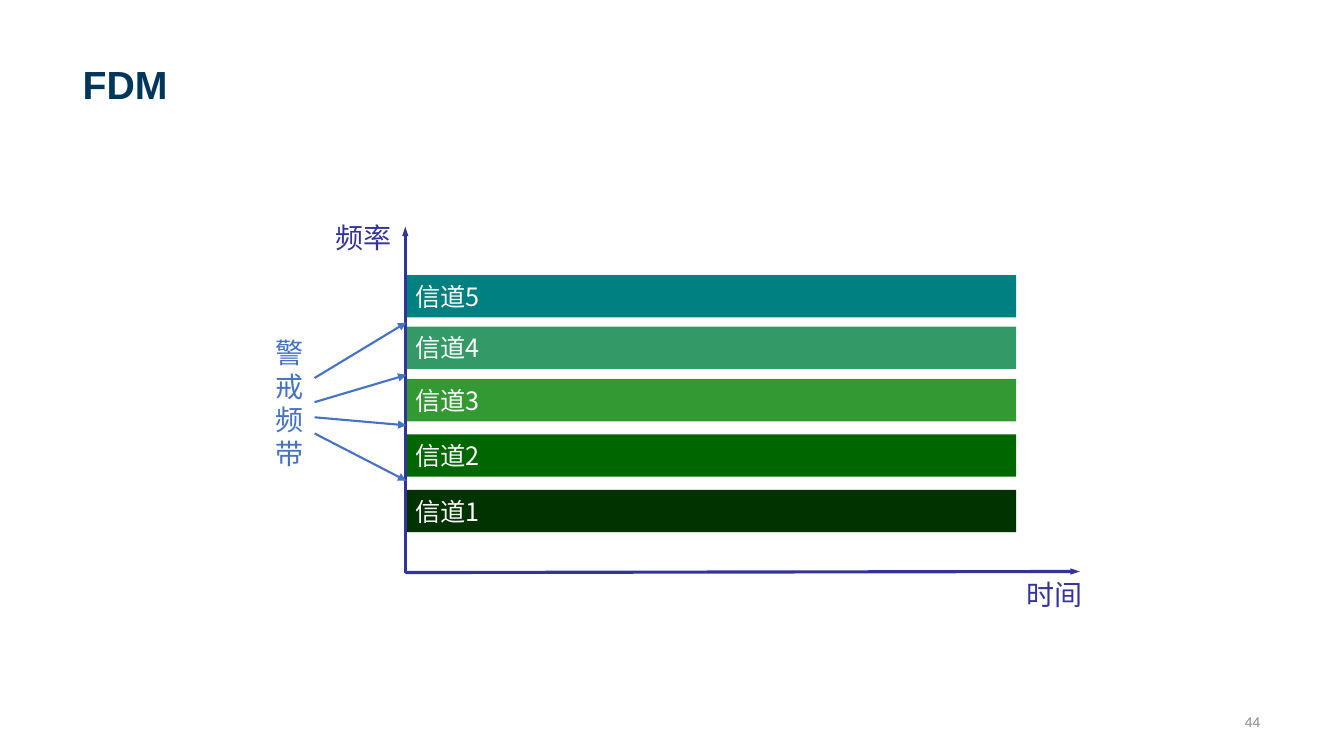
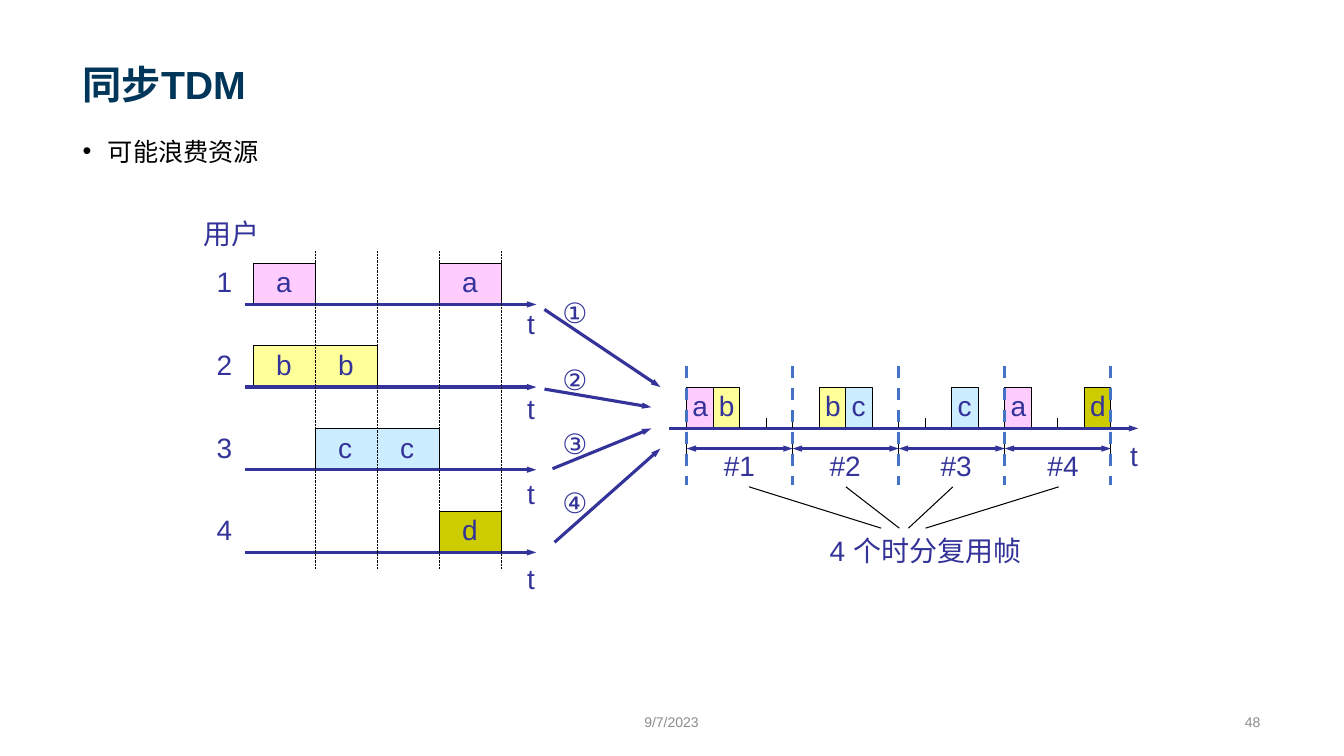
from lxml import etree
from pptx import Presentation
from pptx import util as u
from pptx.dml.color import RGBColor
from pptx.enum import dml, shapes, text
from pptx.oxml.ns import qn

COLORS = {
    "title": "003659", "footer": "8C8C8C", "navy": "333399", "blue": "4472C4",
    "black": "000000", "white": "FFFFFF",
    "a": "FFCCFF", "b": "FFFF99", "c": "CCECFF", "d": "CCCC00",
    "ch5": "008080", "ch4": "339966", "ch3": "339933", "ch2": "006600", "ch1": "003300",
}
CJK = "Noto Sans CJK SC"


def write(words, slide=None, at=None, shape=None, size=20, color="navy", font="Arial", bold=False,
          align=text.PP_ALIGN.LEFT, anchor=text.MSO_ANCHOR.TOP, wrap=False, spacing=1.0, bullet=False):
    if shape is None:
        shape = slide.shapes.add_textbox(*map(u.Inches, at))
        if anchor == text.MSO_ANCHOR.TOP:
            shape.text_frame.auto_size = text.MSO_AUTO_SIZE.SHAPE_TO_FIT_TEXT
    elif at:
        shape.left, shape.top, shape.width, shape.height = map(u.Inches, at)
    frame = shape.text_frame
    frame.word_wrap = wrap
    frame.vertical_anchor = anchor
    paragraph = frame.paragraphs[0]
    paragraph.alignment = align
    paragraph.line_spacing = spacing
    paragraph.space_before = u.Pt(0)
    if bullet:
        props = paragraph._p.get_or_add_pPr()
        props.set("marL", str(u.Inches(0.25)))
        props.set("indent", str(u.Inches(-0.25)))
        etree.SubElement(props, qn("a:buChar")).set("char", "•")
    run = paragraph.add_run()
    run.text = words
    run.font.size = u.Pt(size)
    run.font.bold = bold
    run.font.color.rgb = RGBColor.from_string(COLORS[color])
    run.font.name = font
    etree.SubElement(run._r.get_or_add_rPr(), qn("a:ea")).set("typeface", CJK)


def connect(slide, start, end, color="navy", width=2.25, dash=None, ends=(), head="sm"):
    line = slide.shapes.add_connector(
        shapes.MSO_CONNECTOR.STRAIGHT, *map(u.Inches, (*start, *end)))
    line.line.color.rgb = RGBColor.from_string(COLORS[color])
    line.line.width = u.Pt(width)
    if dash:
        line.line.dash_style = dash
    for tag in ends:
        arrow = etree.SubElement(line.line._get_or_add_ln(), qn("a:" + tag))
        arrow.set("type", "triangle")
        arrow.set("w", head)
    etree.SubElement(line._element.spPr, qn("a:effectLst"))


prs = Presentation()
prs.slide_width = u.Inches(13.33)
prs.slide_height = u.Inches(7.5)
fdm = prs.slides.add_slide(prs.slide_layouts[5])
tdm = prs.slides.add_slide(prs.slide_layouts[1])
ARROW = ("tailEnd",)
BOTH = ("headEnd", "tailEnd")
MIDDLE = text.MSO_ANCHOR.MIDDLE

for slide, heading, page in ((fdm, "FDM", "44"), (tdm, "同步TDM", "48")):
    write(heading, shape=slide.shapes.title, at=(0.72, 0.14, 11.88, 0.98), size=28,
          color="title", bold=True, anchor=text.MSO_ANCHOR.BOTTOM, wrap=True)
    write(page, slide, (8.5, 7.01, 4.1, 0.3), size=10, color="footer",
          align=text.PP_ALIGN.RIGHT, anchor=MIDDLE, wrap=True)

origin = (4.02, 5.68)
connect(fdm, origin, (10.71, 5.67), ends=ARROW)
for axis_name, left, top in (("频率", 3.23, 2.18), ("时间", 10.08, 5.72)):
    write(axis_name, fdm, (left, top, 0.76, 0.4), font="Times New Roman", spacing=0.9)
for number, top in zip((5, 4, 3, 2, 1), (2.73, 3.24, 3.76, 4.31, 4.86)):
    channel = fdm.shapes.add_shape(
        shapes.MSO_SHAPE.RECTANGLE, *map(u.Inches, (origin[0], top, 6.06, 0.42)))
    channel.shadow.inherit = False
    channel.fill.solid()
    channel.fill.fore_color.rgb = RGBColor.from_string(COLORS[f"ch{number}"])
    channel.line.fill.background()
    write(f"信道{number}", shape=channel, size=18, color="white", font=CJK, anchor=MIDDLE)
connect(fdm, origin, (4.02, 2.25), ends=ARROW)
for label_y, gap_y in ((3.75, 3.2), (3.99, 3.72), (4.14, 4.22), (4.3, 4.77)):
    connect(fdm, (3.12, label_y), (4.03, gap_y), "blue", 1.5, ends=ARROW, head="med")
write("警戒频带", fdm, (2.63, 3.28, 0.41, 1.43), color="blue", wrap=True)

write("可能浪费资源", shape=tdm.placeholders[1], at=(0.72, 1.24, 11.88, 5.47), size=18,
      color="black", wrap=True, spacing=1.2, bullet=True)
write("9/7/2023", tdm, (5.16, 7.01, 3, 0.3), size=10, color="footer",
      align=text.PP_ALIGN.CENTER, anchor=MIDDLE, wrap=True)

user_left, user_slot = 2.51, 0.615
user_axes = [3.02 + 0.82 * row for row in range(4)]
frame_left, frame_slot, frame_axis = 6.81, 0.263, 4.25
frame_edges = [frame_left + 4 * frame_slot * count for count in range(5)]

bursts = [(user, user_left + user_slot * slot, user_slot * span, user_axes[row], span, 0.13)
          for user, row, slot, span in (("a", 0, 0, 1), ("a", 0, 3, 1), ("b", 1, 0, 2),
                                        ("c", 2, 1, 2), ("d", 3, 3, 1))]
bursts += [(user, frame_left + frame_slot * slot, frame_slot, frame_axis, 1, -0.04)
           for user, slot in (("a", 0), ("b", 1), ("b", 5), ("c", 6),
                              ("c", 10), ("a", 12), ("d", 15))]
for user, left, width, axis, span, offset in bursts:
    top = axis - 0.41
    outline = tdm.shapes.build_freeform(u.Inches(left), u.Inches(axis))
    outline.add_line_segments(
        [(u.Inches(x), u.Inches(y)) for x, y in
         ((left, top), (left + width, top), (left + width, axis))], close=False)
    burst = outline.convert_to_shape()
    burst.shadow.inherit = False
    burst.fill.solid()
    burst.fill.fore_color.rgb = RGBColor.from_string(COLORS[user])
    burst.line.color.rgb = RGBColor.from_string(COLORS["black"])
    burst.line.width = u.Pt(0.75)
    for part in range(span):
        write(user, tdm, (left + width / span * part + offset, axis - 0.44, 0.36, 0.43))

write("用户", tdm, (1.92, 2.1, 0.76, 0.43))
for row, axis in enumerate(user_axes):
    write(str(row + 1), tdm, (2.05, axis - 0.44, 0.36, 0.43))
    write("t", tdm, (5.13, 2.99 + 0.843 * row, 0.28, 0.43))
    connect(tdm, (2.43, axis), (5.32, axis), ends=ARROW)
for slot in range(1, 5):
    x = user_left + user_slot * slot
    connect(tdm, (x, 2.49), (x, 5.64), "black", 0.5, dml.MSO_LINE.ROUND_DOT)

for order, top, start, end in (("①", 2.88, (5.4, 3.07), (6.55, 3.84)),
                               ("②", 3.55, (5.4, 3.86), (6.46, 4.04)),
                               ("③", 4.18, (5.48, 4.65), (6.46, 4.25)),
                               ("④", 4.77, (5.5, 5.38), (6.55, 4.45))):
    connect(tdm, start, end, ends=ARROW)
    write(order, tdm, (5.48, top, 0.48, 0.43))

connect(tdm, (6.64, frame_axis), (11.29, frame_axis), ends=ARROW)
write("t", tdm, (11.11, 4.3, 0.28, 0.43))
for slot in (2, 3, 4, 8, 9, 14):
    x = frame_left + frame_slot * slot
    connect(tdm, (x, 4.15), (x, frame_axis), "black", 0.75)
for x in frame_edges:
    connect(tdm, (x, 4.35), (x, 4.56), "black", 0.75)
for number, (left, right) in enumerate(zip(frame_edges, frame_edges[1:]), 1):
    connect(tdm, (left, 4.45), (right, 4.45), ends=BOTH)
for number, left in enumerate((7.08, 8.13, 9.23, 10.29), 1):
    write(f"#{number}", tdm, (left, 4.4, 0.51, 0.43))
for x in frame_edges:
    connect(tdm, (x, 3.63), (x, 4.81), "blue", dash=dml.MSO_LINE.DASH)
for frame_x, caption_x in ((7.43, 8.74), (8.39, 8.92), (9.45, 9.01), (10.5, 9.18)):
    connect(tdm, (frame_x, 4.83), (caption_x, 5.24), "black", 0.75)
write("4 个时分复用帧", tdm, (8.13, 5.24, 2.1, 0.43), wrap=True)

prs.save("out.pptx")
